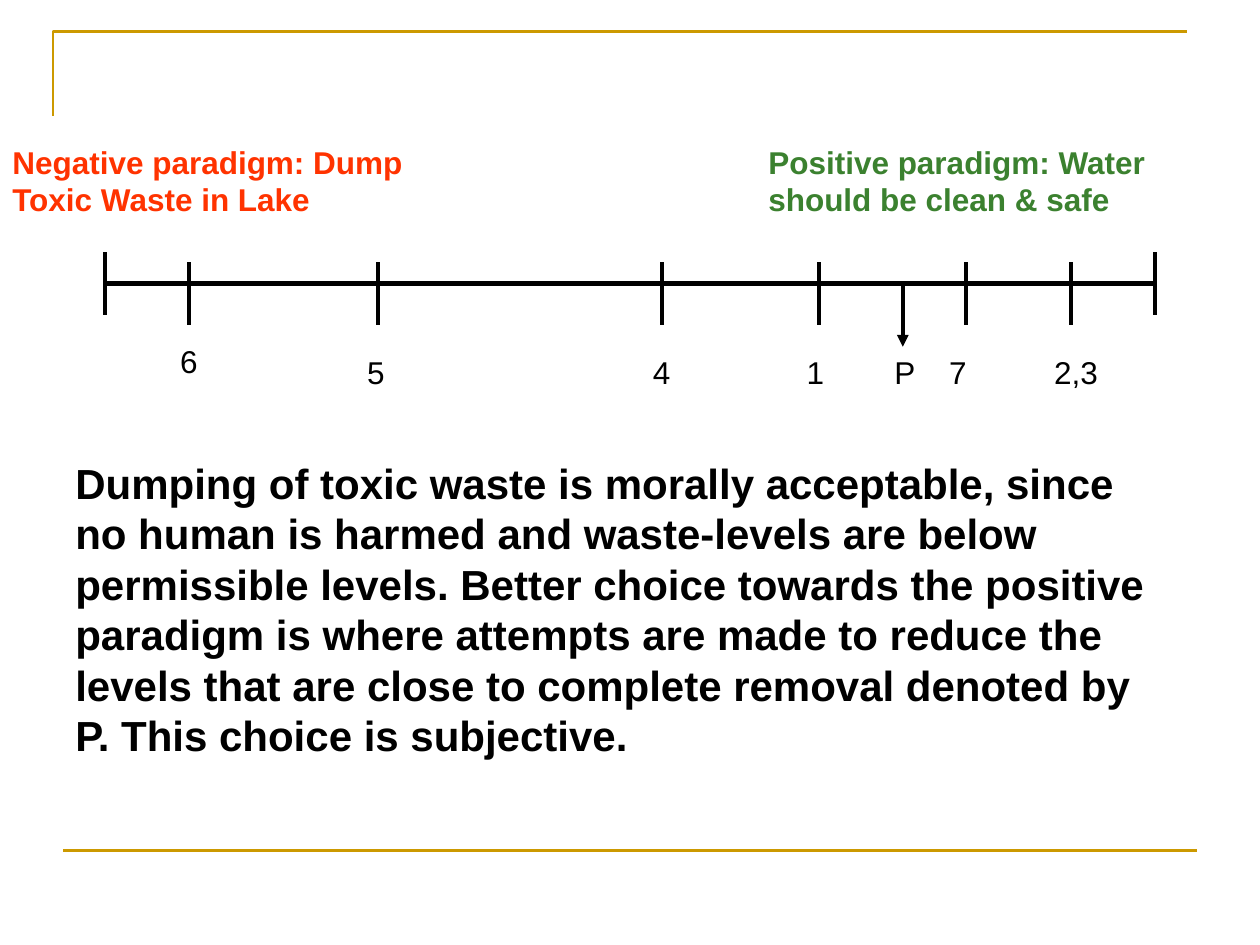
import pptx
import pptx.util
import pptx.dml.color
import pptx.enum.shapes
import pptx.enum.text
from lxml import etree
from pptx.util import Cm, Pt

THEME = {
    "font": "Arial",
    "ink": "000000", "gold": "CC9900", "negative": "FF3300", "positive": "3B812F",
    "label_size": 18, "body_size": 24, "leading": 1.2,
    "frame_line": 1.5, "axis_line": 3, "tick_line": 2.25,
}

# Lengths in centimetres: text, left, top, width, height, colour
PARADIGMS = [
    ("Negative paradigm: Dump Toxic Waste in Lake", 0, 2.75, 8.89, 1.78, "negative"),
    ("Positive paradigm: Water should be clean & safe", 15.24, 2.75, 9.1, 1.78, "positive"),
]
CONCLUSION = (
    "Dumping of toxic waste is morally acceptable, since no human is harmed "
    "and waste-levels are below permissible levels. Better choice towards the "
    "positive paradigm is where attempts are made to reduce the levels that are "
    "close to complete removal denoted by P. This choice is subjective."
)
# Label, mark position, label centre, label top
MARKS = [
    ("6", 3.81, 3.81, 6.78),
    ("5", 7.62, 7.58, 6.99),
    ("4", 13.34, 13.34, 6.99),
    ("1", 16.51, 16.44, 6.99),
    ("P", 18.2, 18.24, 6.99),
    ("7", 19.47, 19.31, 6.99),
    ("2,3", 21.59, 21.69, 6.99),
]
CHOICE = "P"
AXIS_LEFT, AXIS_RIGHT, AXIS_Y = 2.12, 23.28, 5.72
END_TOP, TICK_TOP, TICK_LENGTH = 5.08, 5.29, 1.27
LABEL_WIDTH, LABEL_HEIGHT = 1.5, 1.02


def colour(name):
    return pptx.dml.color.RGBColor.from_string(THEME[name])


def add_line(page, start, end, width, tint="ink", arrow=False):
    line = page.shapes.add_connector(
        pptx.enum.shapes.MSO_CONNECTOR.STRAIGHT,
        *(Cm(value) for value in (*start, *end)))
    line.line.color.rgb = colour(tint)
    line.line.width = Pt(THEME[width])
    properties = line._element.spPr
    if arrow:
        tail = etree.SubElement(line.line._get_or_add_ln(), pptx.oxml.ns.qn("a:tailEnd"))
        tail.set("type", "triangle")
    etree.SubElement(properties, pptx.oxml.ns.qn("a:effectLst"))


def add_text(page, text, left, top, width, height, size, tint="ink",
             bold=False, centred=False):
    box = page.shapes.add_textbox(Cm(left), Cm(top), Cm(width), Cm(height))
    box.text_frame.word_wrap = True
    para = box.text_frame.paragraphs[0]
    para.text = text
    para.line_spacing = Pt(THEME[size] * THEME["leading"])
    if centred:
        para.alignment = pptx.enum.text.PP_ALIGN.CENTER
    para.font.name = THEME["font"]
    para.font.size = Pt(THEME[size])
    para.font.bold = bold
    para.font.color.rgb = colour(tint)


def add_frame(page):
    builder = page.shapes.build_freeform(Cm(1.07), Cm(2.33))
    builder.add_line_segments([(Cm(1.07), Cm(0.64)), (Cm(23.93), Cm(0.64))], close=False)
    corner = builder.convert_to_shape()
    corner.shadow.inherit = False
    corner.fill.background()
    corner.line.color.rgb = colour("gold")
    corner.line.width = Pt(THEME["frame_line"])
    add_line(page, (1.27, 17.15), (24.13, 17.15), "frame_line", "gold")


def add_scale(page):
    add_line(page, (AXIS_LEFT, AXIS_Y), (AXIS_RIGHT, AXIS_Y), "axis_line")
    for x in (AXIS_LEFT, AXIS_RIGHT):
        add_line(page, (x, END_TOP), (x, END_TOP + TICK_LENGTH), "tick_line")
    for label, x, centre, label_top in MARKS:
        chosen = label == CHOICE
        top = AXIS_Y if chosen else TICK_TOP
        add_line(page, (x, top), (x, top + TICK_LENGTH), "tick_line", arrow=chosen)
        add_text(page, label, centre - LABEL_WIDTH / 2, label_top,
                 LABEL_WIDTH, LABEL_HEIGHT, "label_size", centred=True)


def main():
    deck = pptx.Presentation()
    deck.slide_width, deck.slide_height = Cm(25.4), Cm(19.05)
    page = deck.slides.add_slide(deck.slide_layouts[6])
    add_frame(page)
    for text, left, top, width, height, tint in PARADIGMS:
        add_text(page, text, left, top, width, height, "label_size", tint, bold=True)
    add_scale(page)
    add_text(page, CONCLUSION, 1.27, 9.1, 22.65, 6.35, "body_size", bold=True)
    deck.save("out.pptx")


if __name__ == "__main__":
    main()
